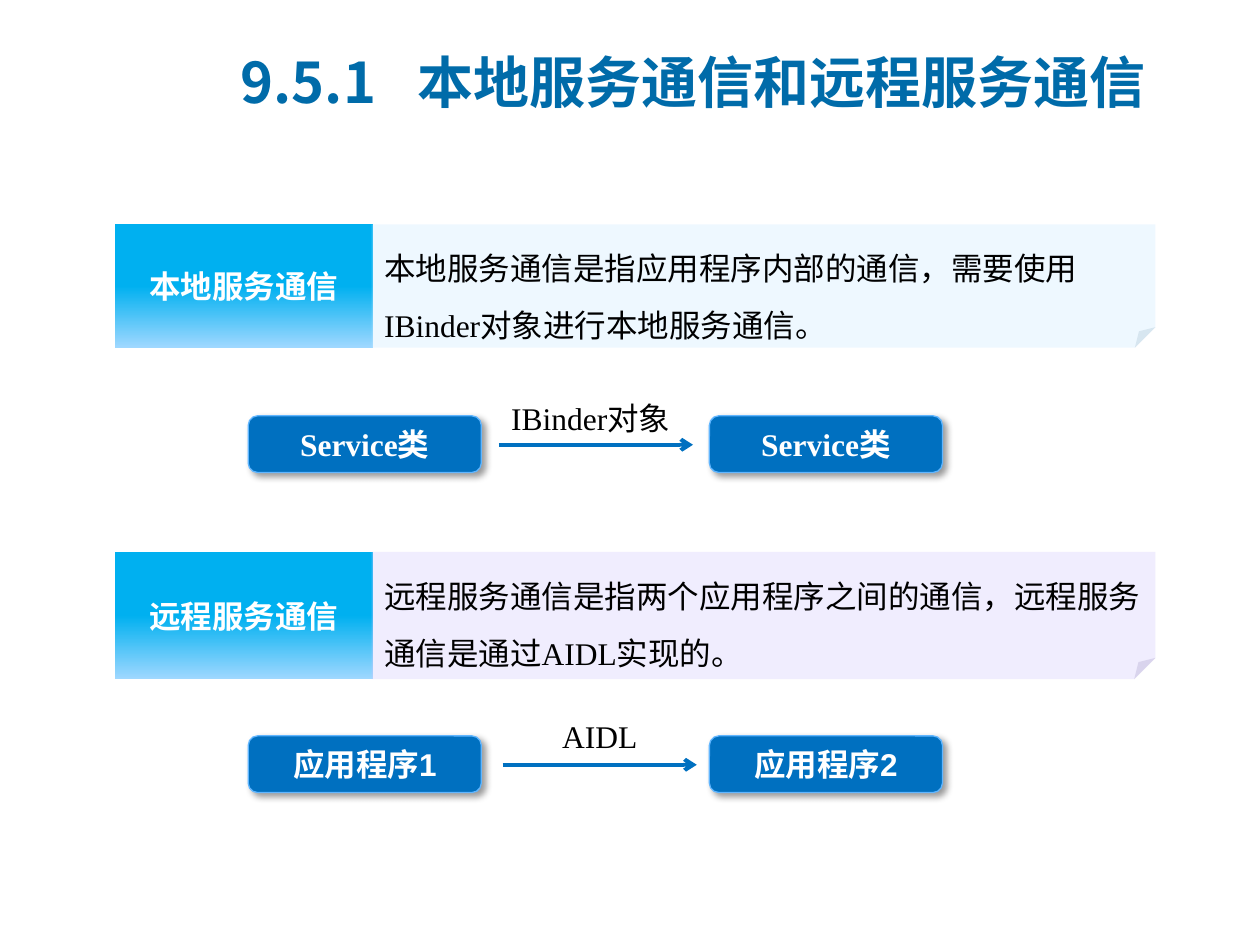
from dataclasses import dataclass

from lxml import etree
from pptx import Presentation
from pptx.dml.color import RGBColor
from pptx.enum.shapes import MSO_CONNECTOR, MSO_SHAPE
from pptx.enum.text import MSO_ANCHOR, MSO_AUTO_SIZE, PP_ALIGN
from pptx.oxml.ns import qn
from pptx.util import Inches, Pt

RECT = MSO_SHAPE.RECTANGLE
FOLD = MSO_SHAPE.FOLDED_CORNER
ROUND = MSO_SHAPE.ROUNDED_RECTANGLE
LINE = MSO_CONNECTOR.STRAIGHT
LEFT, CENTER = PP_ALIGN.LEFT, PP_ALIGN.CENTER
TOP, MIDDLE = MSO_ANCHOR.TOP, MSO_ANCHOR.MIDDLE
FIXED = MSO_AUTO_SIZE.NONE


@dataclass(frozen=True)
class Theme:
    title: RGBColor = RGBColor.from_string("006BA9")
    ink: RGBColor = RGBColor.from_string("000000")
    white: RGBColor = RGBColor.from_string("FFFFFF")
    cyan: RGBColor = RGBColor.from_string("00B0F0")
    pale: RGBColor = RGBColor.from_string("9FD8FF")
    blue: RGBColor = RGBColor.from_string("0070C0")
    edge: RGBColor = RGBColor.from_string("61B6FF")
    sky: RGBColor = RGBColor.from_string("C5E8FF")
    lilac: RGBColor = RGBColor.from_string("D1C7FD")
    head: Pt = Pt(32)
    text: Pt = Pt(18)
    cjk: str = "Noto Sans CJK SC"
    serif: str = "Times New Roman"
    sans: str = "Arial"


T = Theme()


def write(shape, runs, color, size=T.text, bold=False, align=CENTER, anchor=MIDDLE):
    """Fill the first paragraph with (text, font) runs and return it."""
    frame = shape.text_frame
    frame.word_wrap = True
    frame.auto_size = FIXED
    frame.vertical_anchor = anchor
    para = frame.paragraphs[0]
    para.alignment = align
    for text, name in runs:
        run = para.add_run()
        run.text = text
        font = run.font
        font.name, font.size, font.bold = name, size, bold
        font.color.rgb = color
        etree.SubElement(run._r.get_or_add_rPr(), qn("a:ea"), typeface=T.cjk)
    return para


def place(kind, x, y, w, h):
    """Add a preset shape with no shadow and no outline."""
    shape = slide.shapes.add_shape(kind, Inches(x), Inches(y), Inches(w), Inches(h))
    shape.shadow.inherit = False
    shape.line.fill.background()
    return shape


deck = Presentation()
deck.slide_width, deck.slide_height = Inches(10), Inches(7.5)
slide = deck.slides.add_slide(deck.slide_layouts[5])

# Title, with a hanging indent after the section number
title = slide.shapes.title
title.left, title.top = Inches(1.81), Inches(0.22)
title.width, title.height = Inches(7.68), Inches(0.84)
para = write(title, [("9.5.1\t本地服务通信和远程服务通信", T.cjk)], T.title,
             size=T.head, bold=True, align=LEFT)
props = para._p.get_or_add_pPr()
props.set("marL", str(Inches(1.4)))
props.set("indent", str(-Inches(1.4)))

# Explanation panels: top, height, label, label font, tint, opacity, body
panels = [
    (1.78, 0.98, "本地服务通信", T.serif, T.sky, 28,
     [("本地服务通信是指应用程序内部的通信，需要使用", T.cjk),
      ("IBinder", T.serif), ("对象进行本地服务通信。", T.cjk)]),
    (4.38, 1.01, "远程服务通信", T.cjk, T.lilac, 31,
     [("远程服务通信是指两个应用程序之间的通信，远程服务通信是通过", T.cjk),
      ("AIDL", T.serif), ("实现的。", T.cjk)]),
]
for y, h, name, face, tint, alpha, body in panels:
    label = place(RECT, 0.91, y, 2.05, h)
    label.fill.gradient()
    label.fill.gradient_angle = 270
    stops = label.fill.gradient_stops
    for stop, color, pos in zip(stops, (T.cyan, T.pale), (0.5, 1)):
        stop.color.rgb = color
        stop.position = pos
    write(label, [(name, face)], T.white, bold=True)

    note = place(FOLD, 2.95, y, 6.22, h)
    note.fill.solid()
    note.fill.fore_color.rgb = tint
    clr = note._element.spPr.find(".//" + qn("a:srgbClr"))
    etree.SubElement(clr, qn("a:alpha"), val=str(alpha * 1000))
    para = write(note, body, T.ink, align=LEFT, anchor=TOP)
    para.line_spacing = 1.5

# Flows: top, the two ends, arrow start, caption place, caption
service = [("Service", T.serif), ("类", T.sans)]
flows = [
    (3.3, [service, service], 3.96, (3.81, 3.12),
     [("IBinder", T.serif), ("对象", T.sans)]),
    (5.84, [[("应用程序1", T.sans)], [("应用程序2", T.sans)]], 3.99, (3.88, 5.64),
     [("AIDL", T.serif)]),
]
for y, ends, start, (left, top), words in flows:
    for x, runs in zip((1.97, 5.63), ends):
        node = place(ROUND, x, y, 1.85, 0.45)
        node.fill.solid()
        node.fill.fore_color.rgb = T.blue
        node.line.color.rgb = T.edge
        node.line.width = Pt(0.75)
        effect = node._element.spPr.find(qn("a:effectLst"))
        shade = etree.SubElement(effect, qn("a:outerShdw"), blurRad=str(Pt(4)),
                                 dist=str(Pt(3)), dir=str(45 * 60000),
                                 algn="tl", rotWithShape="0")
        clr = etree.SubElement(shade, qn("a:srgbClr"), val=str(T.ink))
        etree.SubElement(clr, qn("a:alpha"), val="40000")
        write(node, runs, T.white, bold=True)

    mid = Inches(y + 0.23)
    arrow = slide.shapes.add_connector(LINE, Inches(start), mid,
                                       Inches(start + 1.54), mid)
    arrow.line.color.rgb = T.blue
    arrow.line.width = Pt(2.25)
    etree.SubElement(arrow.line._get_or_add_ln(), qn("a:tailEnd"), type="arrow")
    etree.SubElement(arrow._element.spPr, qn("a:effectLst"))

    caption = slide.shapes.add_textbox(Inches(left), Inches(top),
                                       Inches(1.76), Inches(0.4))
    write(caption, words, T.ink)

deck.save("out.pptx")
